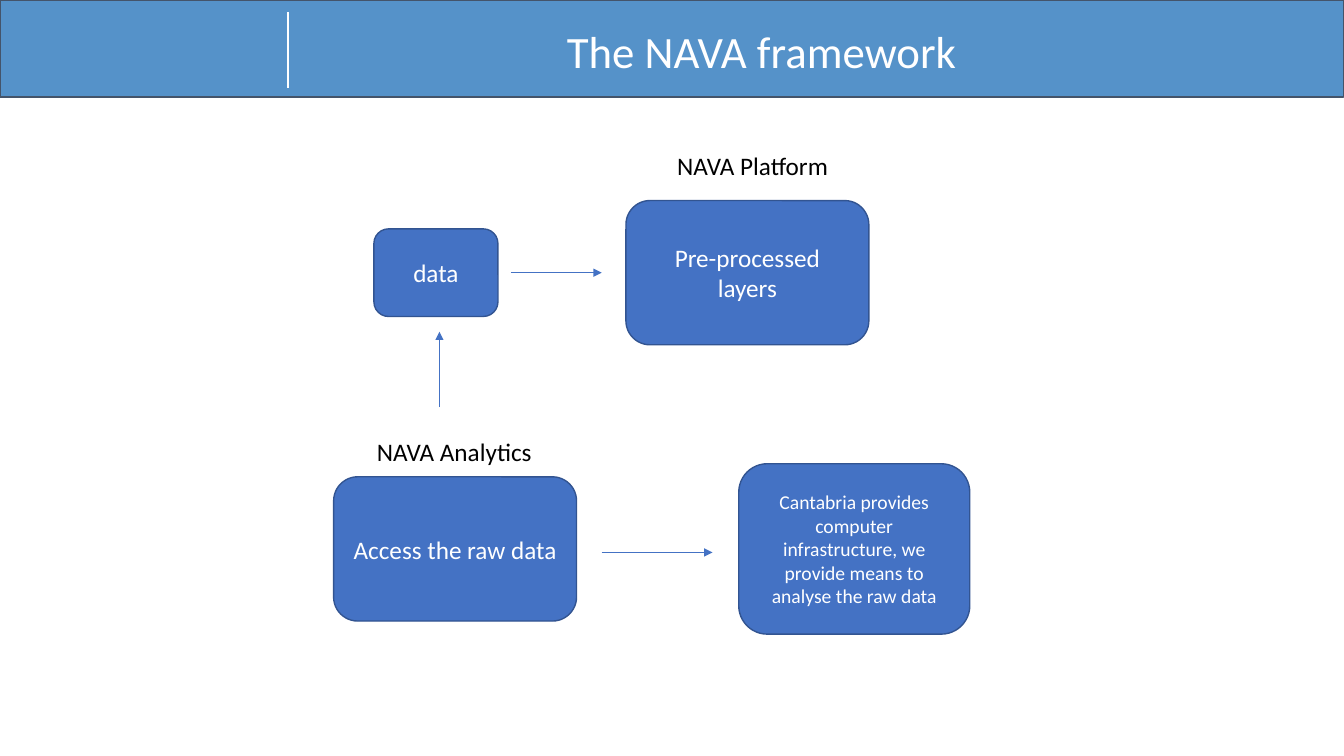
from pptx import Presentation
from pptx.dml.color import RGBColor
from pptx.enum.shapes import MSO_CONNECTOR, MSO_SHAPE
from pptx.enum.text import MSO_ANCHOR, PP_ALIGN
from pptx.oxml.ns import qn
from pptx.util import Pt
from lxml.etree import SubElement

WHITE = RGBColor(0xFF, 0xFF, 0xFF)
BLACK = RGBColor(0, 0, 0)
BANNER = RGBColor(0x55, 0x92, 0xC9)
BANNER_EDGE = RGBColor(0x44, 0x54, 0x6A)
BLUE = RGBColor(0x44, 0x72, 0xC4)
BLUE_EDGE = RGBColor(0x32, 0x54, 0x91)
FONT = "Calibri"


def write(tf, text, size=18, color=WHITE, align=PP_ALIGN.CENTER,
          anchor=MSO_ANCHOR.MIDDLE, inset_y=3.6):
    tf.word_wrap = True
    tf.vertical_anchor = anchor
    tf.margin_left = tf.margin_right = Pt(7.2)
    tf.margin_top = tf.margin_bottom = Pt(inset_y)
    p = tf.paragraphs[0]
    p.alignment = align
    r = p.add_run()
    r.text = text
    r.font.name, r.font.size = FONT, Pt(size)
    r.font.color.rgb = color


def add_box(s, kind, x, y, w, h, fill, edge, edge_width):
    sp = s.shapes.add_shape(kind, Pt(x), Pt(y), Pt(w), Pt(h))
    sp.shadow.inherit = False
    sp.fill.solid()
    sp.fill.fore_color.rgb = fill
    sp.line.color.rgb = edge
    sp.line.width = Pt(edge_width)
    return sp


def add_text(s, text, x, y, w, h, **fmt):
    sp = s.shapes.add_textbox(Pt(x), Pt(y), Pt(w), Pt(h))
    write(sp.text_frame, text, anchor=MSO_ANCHOR.TOP, **fmt)


def add_line(s, x1, y1, x2, y2, color, width, arrow=False):
    line = s.shapes.add_connector(MSO_CONNECTOR.STRAIGHT,
                                  Pt(x1), Pt(y1), Pt(x2), Pt(y2))
    line.line.color.rgb = color
    line.line.width = Pt(width)
    if arrow:
        SubElement(line.line._get_or_add_ln(), qn("a:tailEnd"), type="triangle")
    SubElement(line._element.spPr, qn("a:effectLst"))


def add_node(s, text, x, mid_y, w, h, size=18):
    """Rounded box centred vertically on its row."""
    sp = add_box(s, MSO_SHAPE.ROUNDED_RECTANGLE, x, mid_y - h / 2, w, h,
                 BLUE, BLUE_EDGE, 1)
    write(sp.text_frame, text, size=size)


def add_label(s, text, x, y):
    add_text(s, text, x, y, 241, 29, color=BLACK, align=PP_ALIGN.LEFT)


def add_banner(s, x, y, w, h):
    add_box(s, MSO_SHAPE.RECTANGLE, x, y, w, h, BANNER, BANNER_EDGE, 0.75)
    add_line(s, x + 206, y + 8.6, x + 206, y + 62.6, WHITE, 1.5)
    add_text(s, "The NAVA framework", x + 185.8, y + 9.4, 716.4, 53.3,
             size=32, inset_y=7.2)


def add_platform_row(s, x, y, h):
    mid = y + h / 2
    add_label(s, "NAVA Platform", x + 238.3, y - 39.6)
    add_node(s, "data", x + 28.8, mid, 88.6, 62.6)
    add_line(s, x + 126.7, mid, x + 191.5, mid, BLUE, 0.5, arrow=True)
    add_node(s, "Pre-processed layers", x + 208.8, mid, 173.5, h)


def add_analytics_row(s, x, y, h):
    mid = y + h / 2
    add_line(s, x + 75.6, y - 49.7, x + 75.6, y - 103.7, BLUE, 0.5, arrow=True)
    add_label(s, "NAVA Analytics", x + 23.8, y - 32.4)
    add_node(s, "Access the raw data", x, mid, 173.5, h)
    add_line(s, x + 191.5, mid + 2.5, x + 270.7, mid + 2.5, BLUE, 0.5, arrow=True)
    add_node(s, "Cantabria provides computer infrastructure, we provide means "
             "to analyse the raw data", x + 289.4, mid, 165, 121.7, size=14)


def main():
    prs = Presentation()
    prs.slide_width, prs.slide_height = Pt(960), Pt(540)
    s = prs.slides.add_slide(prs.slide_layouts[6])
    add_banner(s, 0, 0, 960, 69.3)
    add_platform_row(s, 238.3, 143.3, 103)
    add_analytics_row(s, 238.3, 340.6, 103)
    prs.save("out.pptx")


if __name__ == "__main__":
    main()
